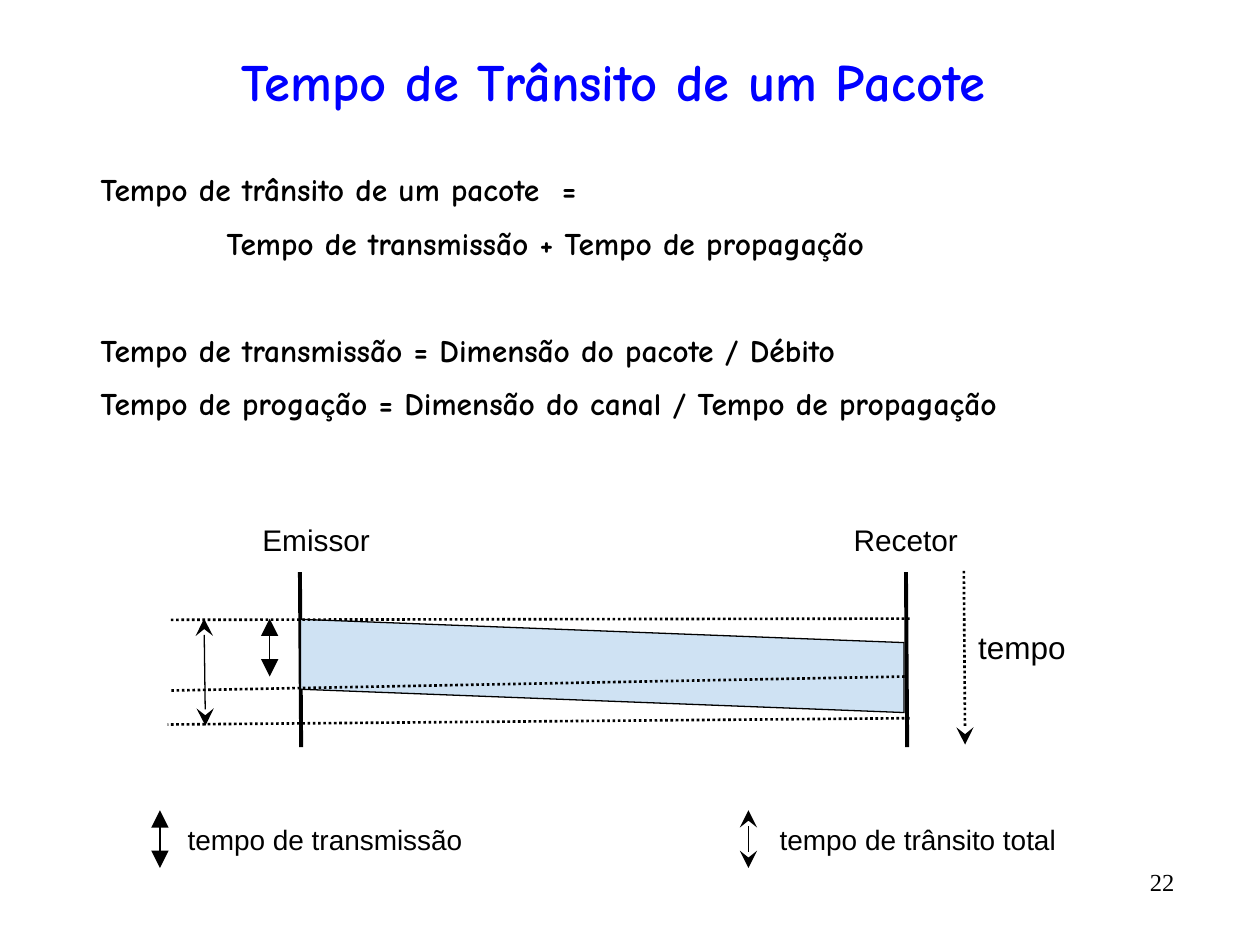
from dataclasses import dataclass

from lxml import etree
from pptx import Presentation
from pptx.dml.color import RGBColor
from pptx.enum import dml, shapes, text
from pptx.oxml import ns
from pptx.util import Pt


@dataclass(frozen=True)
class Theme:
    """Colours, fonts and sizes of the slide."""
    ink: RGBColor = RGBColor(0, 0, 0)
    title_ink: RGBColor = RGBColor(0, 0, 255)
    packet: RGBColor = RGBColor(0xCF, 0xE2, 0xF3)
    hand: str = "Comic Neue"
    sans: str = "Arial"
    serif: str = "Times New Roman"
    title: float = 30
    body: float = 18
    actor: float = 17
    legend: float = 16
    number: float = 14
    thin: float = 0.75
    dotted: float = 1.5
    thick: float = 2.25


THEME = Theme()
LEFT, CENTER, RIGHT = text.PP_ALIGN.LEFT, text.PP_ALIGN.CENTER, text.PP_ALIGN.RIGHT

TITLE = "Tempo de Trânsito de um Pacote"
# text, indent, space before
FORMULAS = [
    ("Tempo de trânsito de um pacote  =", 0, 0),
    ("Tempo de transmissão + Tempo de propagação", 36, 9),
    ("Tempo de transmissão = Dimensão do pacote / Débito", 0, 39.6),
    ("Tempo de progação = Dimensão do canal / Tempo de propagação", 0, 9),
]
# text, (left, top, width, height), size, alignment
LABELS = [
    ("Emissor", (111.6, 283, 138.2, 51), THEME.actor, CENTER),
    ("Recetor", (455, 283, 125.3, 51), THEME.actor, CENTER),
    ("tempo", (534.2, 355, 99.4, 28.8), THEME.body, CENTER),
    ("tempo de transmissão", (90, 454.3, 191.5, 51), THEME.legend, CENTER),
    ("tempo de trânsito total", (438.5, 454.3, 191.5, 51), THEME.legend, LEFT),
]
# start, end, width, dotted, head, tail
TIMELINES = [
    ((171.4, 326.9), (172.1, 427), THEME.thick, False, None, None),
    ((517.7, 326.9), (518.4, 427), THEME.thick, False, None, None),
    ((550.8, 326.2), (551.5, 425.5), THEME.dotted, True, None, "stealth"),
]
MARKS = [
    ((519.8, 353.5), (96.5, 354.2), THEME.dotted, True, None, None),
    ((517, 386.6), (97.2, 394.6), THEME.dotted, True, None, None),
    ((519.8, 410.4), (95.8, 414), THEME.dotted, True, None, None),
] + [
    (start, end, THEME.thin, False, head, head)
    for start, end, head in [
        ((154.1, 353.5), (154.1, 386.6), "triangle"),
        ((116.6, 353.5), (117.4, 414.7), "stealth"),
        ((91.4, 463), (91.4, 496), "triangle"),
        ((427.7, 463), (427.7, 496), "stealth"),
    ]
]


def style(para, font, size, color=THEME.ink, align=LEFT, bold=False):
    """Set the font and alignment of a paragraph."""
    para.alignment = align
    para.font.name, para.font.size, para.font.bold = font, Pt(size), bold
    para.font.color.rgb = color


def add_box(page, place, anchor=text.MSO_ANCHOR.TOP, inset=3.6):
    """Add a wrapping text box and return its text frame."""
    frame = page.shapes.add_textbox(*map(Pt, place)).text_frame
    frame.word_wrap = True
    frame.vertical_anchor = anchor
    frame.margin_top = frame.margin_bottom = Pt(inset)
    return frame


def add_title(page):
    """Place and format the title."""
    title = page.shapes.title
    title.left, title.top, title.width, title.height = map(Pt, (23, 15.8, 655.2, 60.5))
    title.text_frame.text = TITLE
    title.text_frame.vertical_anchor = text.MSO_ANCHOR.MIDDLE
    style(title.text_frame.paragraphs[0], THEME.hand, THEME.title,
          THEME.title_ink, CENTER, True)


def add_formulas(page):
    """Write the formulas in one box."""
    frame = add_box(page, (50.4, 93.6, 620, 171.4))
    for index, (words, indent, before) in enumerate(FORMULAS):
        para = frame.add_paragraph() if index else frame.paragraphs[0]
        para.text = words
        para.space_before = Pt(before)
        style(para, THEME.hand, THEME.body, bold=True)
        if indent:
            props = para._p.get_or_add_pPr()
            props.set("marL", str(Pt(indent)))
            props.set("indent", str(Pt(indent)))


def add_label(page, words, place, size, align):
    """Add a vertically centred diagram label."""
    para = add_box(page, place, text.MSO_ANCHOR.MIDDLE, 7.2).paragraphs[0]
    para.text = words
    style(para, THEME.sans, size, align=align)


def add_line(page, start, end, width, dotted, head, tail):
    """Add a straight line, with arrowheads where named."""
    line = page.shapes.add_connector(
        shapes.MSO_CONNECTOR.STRAIGHT, *map(Pt, start + end))
    line.line.color.rgb = THEME.ink
    line.line.width = Pt(width)
    if dotted:
        line.line.dash_style = dml.MSO_LINE.ROUND_DOT
    props = line._element.spPr
    for tag, kind in (("a:headEnd", head), ("a:tailEnd", tail)):
        if kind:
            etree.SubElement(props.find(ns.qn("a:ln")), ns.qn(tag),
                             type=kind, w="lg", len="lg")
    etree.SubElement(props, ns.qn("a:effectLst"))


def add_packet(page):
    """Add the slanted band of the packet in transit."""
    band = page.shapes.add_shape(
        shapes.MSO_SHAPE.PARALLELOGRAM, *map(Pt, (317.5, 208.1, 53.3, 344.9)))
    band.rotation = 90
    band.adjustments[0] = 0.25
    band.shadow.inherit = False
    band.fill.solid()
    band.fill.fore_color.rgb = THEME.packet
    band.line.color.rgb = THEME.ink
    band.line.width = Pt(THEME.thin)


def add_number(page):
    """Add the page number."""
    para = add_box(page, (606.2, 491.8, 72, 30.2)).paragraphs[0]
    para.text = "22"
    style(para, THEME.serif, THEME.number, align=RIGHT)


def build():
    """Build and save the slide."""
    deck = Presentation()
    deck.slide_width, deck.slide_height = Pt(720), Pt(540)
    page = deck.slides.add_slide(deck.slide_layouts.get_by_name("Title Only"))
    add_title(page)
    add_formulas(page)
    add_number(page)
    for label in LABELS:
        add_label(page, *label)
    for line in TIMELINES:
        add_line(page, *line)
    add_packet(page)
    for line in MARKS:
        add_line(page, *line)
    deck.save("out.pptx")


build()
